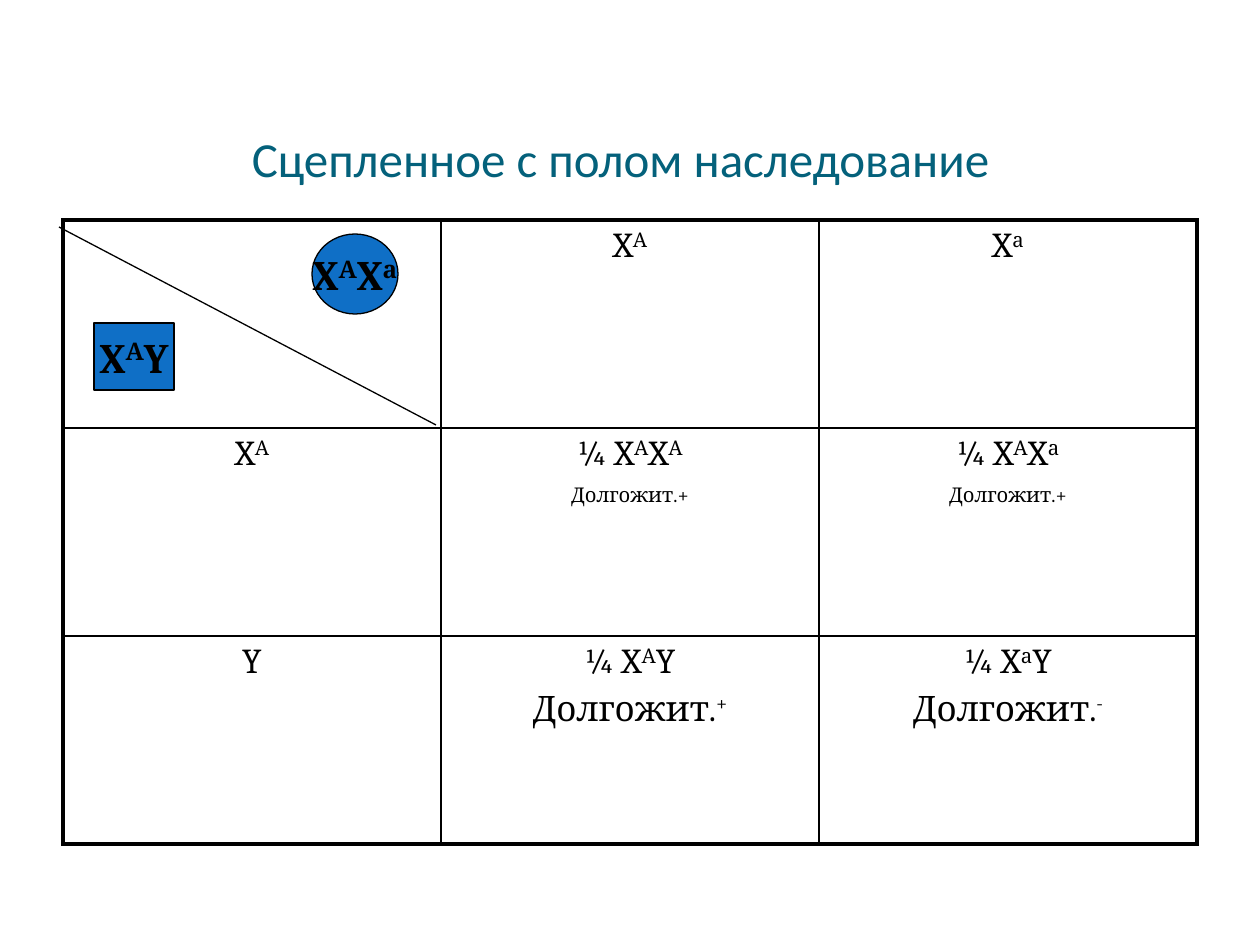
from lxml import etree
from pptx import Presentation
from pptx.dml.color import RGBColor
from pptx.enum.shapes import MSO_CONNECTOR, MSO_SHAPE
from pptx.enum.text import MSO_ANCHOR, PP_ALIGN
from pptx.oxml.ns import qn
from pptx.util import Emu, Pt

CENTER = PP_ALIGN.CENTER
MIDDLE, BOTTOM = MSO_ANCHOR.MIDDLE, MSO_ANCHOR.BOTTOM
OVAL, RECT = MSO_SHAPE.OVAL, MSO_SHAPE.RECTANGLE
STRAIGHT = MSO_CONNECTOR.STRAIGHT

COLORS = {"title": "04617B", "ink": "000000", "parent": "0F6FC6"}

# Content: text between carets is superscript
TITLE = "Сцепленное с полом наследование "
GRID = [
    [[], ["X^А^"], ["X^а^"]],
    [["X^А^"], ["¼ X^А^X^А^", "^Долгожит.+^"], ["¼ X^А^X^а^", "^Долгожит.+^"]],
    [["Y"], ["¼ X^А^Y", "Долгожит.^+^"], ["¼ X^а^Y", "Долгожит.^-^"]],
]
PARENTS = [
    (OVAL, (312, 234, 86, 80), "X^А^X^а^"),
    (RECT, (94, 323, 80, 67), "X^А^Y"),
]
TABLE_LEFT, TABLE_TOP, COL_W, ROW_H = 63, 220, 378, 208
DIAGONAL = (59, 227, 436, 425)
OUTER, INNER = 2.25, 1


def px(n):
    return Emu(round(n * 914400 / 126))


def color(name):
    return RGBColor.from_string(COLORS[name])


def write(p, text, size, bold=False):
    p.alignment = CENTER
    p.font.name, p.font.size, p.font.bold = "Cambria", Pt(size), bold
    p.font.color.rgb = color("ink")
    for i, part in enumerate(text.split("^")):
        if part:
            r = p.add_run()
            r.text = part
            if i % 2:
                r.font._element.set("baseline", "30000")


def space_before(p, percent):
    spc = etree.Element(qn("a:spcBef"))
    etree.SubElement(spc, qn("a:spcPct"), val=str(percent * 1000))
    p._p.get_or_add_pPr().insert(0, spc)


def set_borders(cell, widths):
    tcPr = cell._tc.get_or_add_tcPr()
    for i, (side, width) in enumerate(widths.items()):
        ln = etree.Element(qn("a:ln" + side), w=str(Pt(width)))
        fill = etree.SubElement(ln, qn("a:solidFill"))
        etree.SubElement(fill, qn("a:srgbClr"), val=COLORS["ink"])
        tcPr.insert(i, ln)


prs = Presentation()
prs.slide_width, prs.slide_height = px(1260), px(945)
s = prs.slides.add_slide(prs.slide_layouts[5])

# Title
title = s.shapes.title
title.left, title.top, title.width, title.height = map(px, (59, 29, 1134, 158))
tf = title.text_frame
tf.margin_left = tf.margin_right = tf.margin_bottom = 0
tf.vertical_anchor = BOTTOM
p = tf.paragraphs[0]
p.text = TITLE
p.alignment = CENTER
p.font.name, p.font.size = "Calibri", Pt(28)
p.font.color.rgb = color("title")

# Punnett square
rows, cols = len(GRID), len(GRID[0])
table = s.shapes.add_table(rows, cols, px(TABLE_LEFT), px(TABLE_TOP),
                           px(cols * COL_W), px(rows * ROW_H)).table
table.first_row = table.horz_banding = False
for i, row in enumerate(GRID):
    table.rows[i].height = px(ROW_H)
    for j, lines in enumerate(row):
        cell = table.cell(i, j)
        cell.fill.background()
        set_borders(cell, {
            "L": OUTER if j == 0 else INNER,
            "R": OUTER if j == cols - 1 else INNER,
            "T": OUTER if i == 0 else INNER,
            "B": OUTER if i == rows - 1 else INNER,
        })
        tf = cell.text_frame
        for k, line in enumerate(lines):
            p = tf.add_paragraph() if k else tf.paragraphs[0]
            write(p, line, 20)
            space_before(p, 20)

# Diagonal of the corner cell
line = s.shapes.add_connector(STRAIGHT, *map(px, DIAGONAL))
line.line.color.rgb = color("ink")
line.line.width = Pt(0.75)
etree.SubElement(line._element.spPr, qn("a:effectLst"))

# Parents' genotypes
for kind, box, genotype in PARENTS:
    sp = s.shapes.add_shape(kind, *map(px, box))
    sp.shadow.inherit = False
    sp.fill.solid()
    sp.fill.fore_color.rgb = color("parent")
    sp.line.color.rgb = color("ink")
    sp.line.width = Pt(0.75)
    tf = sp.text_frame
    tf.word_wrap = False
    tf.vertical_anchor = MIDDLE
    write(tf.paragraphs[0], genotype, 24, bold=True)

prs.save("out.pptx")
